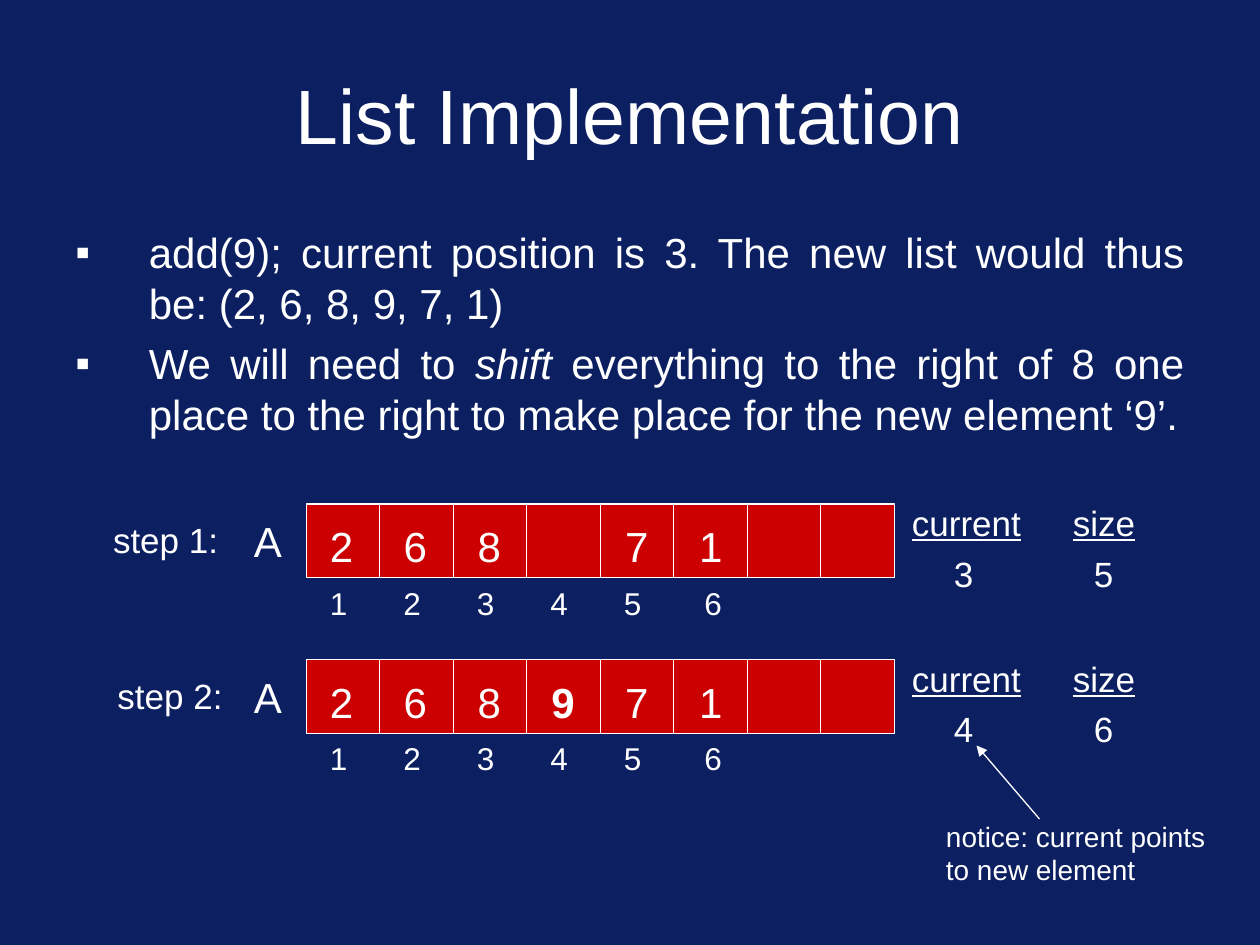
from dataclasses import dataclass

from lxml.etree import SubElement
from pptx import Presentation
from pptx.dml.color import RGBColor
from pptx.enum.shapes import MSO_CONNECTOR, MSO_SHAPE
from pptx.enum.text import MSO_ANCHOR, MSO_AUTO_SIZE, PP_ALIGN
from pptx.oxml.ns import qn
from pptx.util import Pt


@dataclass(frozen=True)
class Theme:
    font: str = "Arial"
    back: str = "0B1F61"
    ink: str = "FFFFFF"
    cell: str = "CC0000"
    title: int = 44
    body: int = 24
    label: int = 20
    index: int = 18
    note: int = 16
    rule: float = 0.75


class Board:
    def __init__(self, theme, slide):
        self.theme = theme
        self.slide = slide
        self.host = slide.shapes
        fill = slide.background.fill
        fill.solid()
        fill.fore_color.rgb = RGBColor.from_string(theme.back)

    def group(self):
        self.host = self.slide.shapes.add_group_shape().shapes

    def style(self, para, size, bold=False, under=False):
        for run in para.runs:
            font = run.font
            font.name, font.size = self.theme.font, Pt(size)
            font.color.rgb = RGBColor.from_string(self.theme.ink)
            if bold:
                font.bold = True
            if under:
                font.underline = True

    def title(self, text, x, y, w, h):
        head = self.slide.shapes.title
        head.left, head.top, head.width, head.height = Pt(x), Pt(y), Pt(w), Pt(h)
        frame = head.text_frame
        frame.text = text
        frame.vertical_anchor = MSO_ANCHOR.MIDDLE
        frame.paragraphs[0].alignment = PP_ALIGN.CENTER
        self.style(frame.paragraphs[0], self.theme.title)

    def bullets(self, items, x, y, w, h):
        """Each item is a list of (text, italic) parts."""
        frame = self.host.add_textbox(Pt(x), Pt(y), Pt(w), Pt(h)).text_frame
        frame.word_wrap = True
        for i, parts in enumerate(items):
            para = frame.add_paragraph() if i else frame.paragraphs[0]
            para.alignment = PP_ALIGN.JUSTIFY
            para.space_before = Pt(6 if i else 0)
            props = para._p.get_or_add_pPr()
            props.set("marL", str(Pt(42)))
            props.set("indent", str(-Pt(42)))
            color = SubElement(props, qn("a:buClr"))
            SubElement(color, qn("a:srgbClr"), val=self.theme.ink)
            SubElement(props, qn("a:buFont"), typeface=self.theme.font)
            SubElement(props, qn("a:buChar"), char="▪")
            for text, slant in parts:
                run = para.add_run()
                run.text = text
                if slant:
                    run.font.italic = True
            self.style(para, self.theme.body)

    def text(self, text, x, y, w, h, size, bold=False, under=False):
        frame = self.host.add_textbox(Pt(x), Pt(y), Pt(w), Pt(h)).text_frame
        frame.text = text
        frame.word_wrap = False
        frame.auto_size = MSO_AUTO_SIZE.SHAPE_TO_FIT_TEXT
        for para in frame.paragraphs:
            self.style(para, size, bold, under)

    def rect(self, x, y, w, h):
        box = self.host.add_shape(MSO_SHAPE.RECTANGLE, Pt(x), Pt(y), Pt(w), Pt(h))
        box.shadow.inherit = False
        box.fill.solid()
        box.fill.fore_color.rgb = RGBColor.from_string(self.theme.cell)
        box.line.color.rgb = RGBColor.from_string(self.theme.ink)
        box.line.width = Pt(self.theme.rule)
        return box

    def line(self, x1, y1, x2, y2, arrow=False):
        link = self.host.add_connector(
            MSO_CONNECTOR.STRAIGHT, Pt(x1), Pt(y1), Pt(x2), Pt(y2))
        link.line.color.rgb = RGBColor.from_string(self.theme.ink)
        link.line.width = Pt(self.theme.rule)
        props = link._element.spPr
        if arrow:
            SubElement(props.find(qn("a:ln")), qn("a:tailEnd"), type="triangle")
        SubElement(props, qn("a:effectLst"))
        return link

    def step(self, name, x, top, cells, current, size, fresh=None):
        """One array with its indices, and the current and size values."""
        theme = self.theme
        left, side, count = 175, 42, 8
        self.group()

        # Current and size
        self.text("current", 514, top - 5, 78, 31.5, theme.label, under=True)
        self.text(current, 538, top + 24, 26, 31.5, theme.label)
        self.text("size", 606, top - 5, 51, 31.5, theme.label, under=True)
        self.text(size, 618, top + 24, 26, 31.5, theme.label)

        # Step and array names
        self.text(name, x, top + 5, 76, 31.5, theme.label)
        self.text("A", 138, top + 3, 31, 36, theme.body)

        # Array with its dividers
        box = self.rect(left, top, side * count, side)
        for i in range(1, count):
            at = left + side * i
            rule = self.line(at, top, at, top + side)
            if 2 * i == count:
                rule.begin_connect(box, 0)
                rule.end_connect(box, 2)

        # Values, and indices below
        for i, value in enumerate(cells):
            if value:
                self.text(value, left + 6.4 + 42.2 * i, top + 6, 28, 36,
                          theme.body, bold=value == fresh)
            nudge = 4 if i == len(cells) - 1 else 0
            self.text(str(i + 1), left + 6.4 + side * i + nudge, top + side,
                      25, 29, theme.index)


def main():
    deck = Presentation()
    deck.slide_width, deck.slide_height = Pt(720), Pt(540)
    theme = Theme()
    board = Board(theme, deck.slides.add_slide(deck.slide_layouts[5]))

    # Heading and explanation
    board.title("List Implementation", 36, 29, 648, 72)
    board.bullets([
        [("add(9); current position is 3. The new list would thus be: "
          "(2, 6, 8, 9, 7, 1)", False)],
        [("We will need to ", False), ("shift", True),
         (" everything to the right of 8 one place to the right to make place "
          "for the new element ‘9’.", False)],
    ], 36, 126, 648, 144)

    # The two steps
    board.step("step 1:", 57.5, 288, ["2", "6", "8", "", "7", "1"], "3", "5")
    board.step("step 2:", 60, 377, ["2", "6", "8", "9", "7", "1"], "4", "6",
               fresh="9")

    # Note on the second step
    board.text("notice: current points\nto new element", 533.5, 464.5, 164, 46,
               theme.note)
    board.line(594, 468, 558, 426, arrow=True)

    deck.save("out.pptx")


if __name__ == "__main__":
    main()
